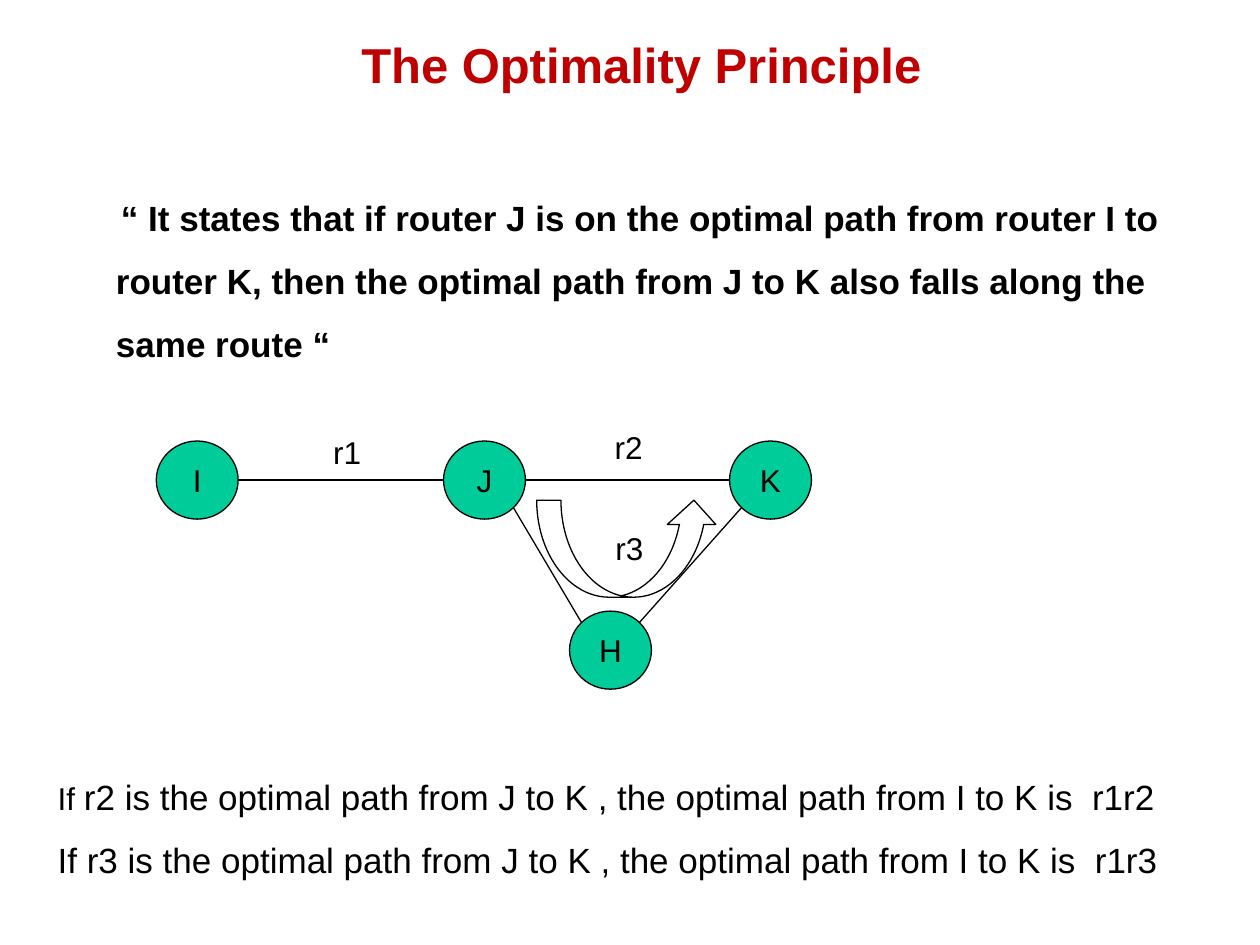
from dataclasses import dataclass
from math import cos, pi, sin

from lxml.etree import SubElement
from pptx import Presentation
from pptx.dml.color import RGBColor
from pptx.enum.shapes import MSO_CONNECTOR as Connector, MSO_SHAPE as Shape
from pptx.enum.text import MSO_ANCHOR as Anchor, MSO_AUTO_SIZE as AutoSize, PP_ALIGN as Align
from pptx.oxml.ns import qn
from pptx.slide import Slide
from pptx.text.text import TextFrame
from pptx.util import Inches, Pt


@dataclass(frozen=True)
class Theme:
    font: str = "Arial"
    ink: RGBColor = RGBColor(0, 0, 0)
    heading: RGBColor = RGBColor(0xC0, 0, 0)
    router: RGBColor = RGBColor(0, 0xCC, 0x99)
    title_size: int = 28
    body_size: int = 20
    label_size: int = 18
    line_width: float = 0.75


@dataclass(frozen=True)
class Box:
    left: float
    top: float
    width: float
    height: float

    def lengths(self) -> list[int]:
        return [Inches(v) for v in (self.left, self.top, self.width, self.height)]


@dataclass(frozen=True)
class Span:
    text: str
    size: int
    bold: bool = False
    color: RGBColor = Theme.ink


@dataclass(frozen=True)
class Router:
    name: str
    left: float
    top: float
    width: float = 0.65
    height: float = 0.62

    def box(self) -> Box:
        return Box(self.left, self.top, self.width, self.height)

    def edge(self, degrees: float) -> tuple[float, float]:
        angle = degrees * pi / 180
        return (self.left + self.width / 2 * (1 + cos(angle)),
                self.top + self.height / 2 * (1 + sin(angle)))


@dataclass(frozen=True)
class Link:
    start: Router
    start_angle: float
    end: Router
    end_angle: float


@dataclass(frozen=True)
class RouteLabel:
    text: str
    box: Box


THEME = Theme()
TITLE_BOX = Box(0.47, 0.22, 9.24, 0.57)
PRINCIPLE_BOX = Box(0.32, 1.34, 9.18, 1.6)
DETOUR_BOX = Box(4.26, 3.97, 1.44, 0.77)
CONCLUSION_BOX = Box(0.36, 5.94, 9.3, 1.1)

I, J, K = (Router(name, left, 3.5) for name, left in (("I", 1.24), ("J", 3.52), ("K", 5.79)))
H = Router("H", 4.52, 4.85)
LINKS = [Link(I, 0, J, 180), Link(J, 0, K, 180), Link(J, 45, H, 225), Link(H, 315, K, 135)]
ROUTE_LABELS = [
    RouteLabel("r1", Box(2.21, 3.39, 1.09, 0.4)),
    RouteLabel("r2", Box(4.3, 3.35, 1.38, 0.4)),
    RouteLabel("r3", Box(4.73, 4.15, 0.53, 0.4)),
]
PRINCIPLE = ("“ It states that if router J is on the optimal path from router I to router K, "
             "then the optimal path from J to K also falls along the same route “")
CONCLUSIONS = [
    [Span("If ", THEME.label_size),
     Span("r2 is the optimal path from J to K , the optimal path from I to K is  r1r2",
          THEME.body_size)],
    [Span("If r3 is the optimal path from J to K , the optimal path from I to K is  r1r3",
          THEME.body_size)],
]


def write(frame: TextFrame, lines: list[list[Span]], align: Align = Align.LEFT,
          spacing: float = 1.0, anchor: Anchor = Anchor.TOP) -> None:
    frame.word_wrap = True
    frame.auto_size = AutoSize.NONE
    frame.vertical_anchor = anchor
    for index, spans in enumerate(lines):
        paragraph = frame.paragraphs[0] if index == 0 else frame.add_paragraph()
        SubElement(paragraph._p.get_or_add_pPr(), qn("a:buNone"))
        paragraph.alignment = align
        paragraph.line_spacing = spacing
        paragraph.space_before = Pt(0)
        for span in spans:
            run = paragraph.add_run()
            run.text = span.text
            run.font.name = THEME.font
            run.font.size = Pt(span.size)
            run.font.bold = span.bold
            run.font.color.rgb = span.color


def fill_placeholder(slide: Slide, index: int, box: Box, span: Span,
                     align: Align, spacing: float = 1.0) -> TextFrame:
    holder = slide.placeholders[index]
    holder.left, holder.top, holder.width, holder.height = box.lengths()
    write(holder.text_frame, [[span]], align, spacing)
    return holder.text_frame


def add_text(slide: Slide, box: Box, lines: list[list[Span]],
             align: Align = Align.LEFT, spacing: float = 1.0) -> None:
    write(slide.shapes.add_textbox(*box.lengths()).text_frame, lines, align, spacing)


def add_router(slide: Slide, router: Router) -> None:
    node = slide.shapes.add_shape(Shape.OVAL, *router.box().lengths())
    node.shadow.inherit = False
    node.fill.solid()
    node.fill.fore_color.rgb = THEME.router
    node.line.color.rgb = THEME.ink
    node.line.width = Pt(THEME.line_width)
    write(node.text_frame, [[Span(router.name, THEME.label_size)]], Align.CENTER,
          anchor=Anchor.MIDDLE)


def add_link(slide: Slide, link: Link) -> None:
    ends = link.start.edge(link.start_angle) + link.end.edge(link.end_angle)
    wire = slide.shapes.add_connector(Connector.STRAIGHT, *(Inches(v) for v in ends))
    wire.line.color.rgb = THEME.ink
    wire.line.width = Pt(THEME.line_width)
    SubElement(wire._element.spPr, qn("a:effectLst"))


def add_detour(slide: Slide) -> None:
    detour = slide.shapes.add_shape(Shape.CURVED_UP_ARROW, *DETOUR_BOX.lengths())
    detour.shadow.inherit = False
    detour.fill.background()
    detour.line.color.rgb = THEME.ink
    detour.line.width = Pt(THEME.line_width)


def main() -> None:
    deck = Presentation()
    deck.slide_width, deck.slide_height = Inches(10), Inches(7.5)
    slide = deck.slides.add_slide(deck.slide_layouts[1])

    fill_placeholder(slide, 0, TITLE_BOX,
                     Span("The Optimality Principle", THEME.title_size, True, THEME.heading),
                     Align.CENTER)
    principle = fill_placeholder(slide, 1, PRINCIPLE_BOX,
                                 Span(PRINCIPLE, THEME.body_size, True), Align.LEFT, 1.5)
    properties = principle.paragraphs[0]._p.get_or_add_pPr()
    properties.set("marL", str(Inches(0.5)))
    properties.set("indent", str(Inches(0.04)))

    for router in (I, J, K, H):
        add_router(slide, router)
    for link in LINKS:
        add_link(slide, link)
    add_detour(slide)
    for label in ROUTE_LABELS:
        add_text(slide, label.box, [[Span(label.text, THEME.label_size)]], Align.CENTER)
    add_text(slide, CONCLUSION_BOX, CONCLUSIONS, spacing=1.5)

    deck.save("out.pptx")


if __name__ == "__main__":
    main()
